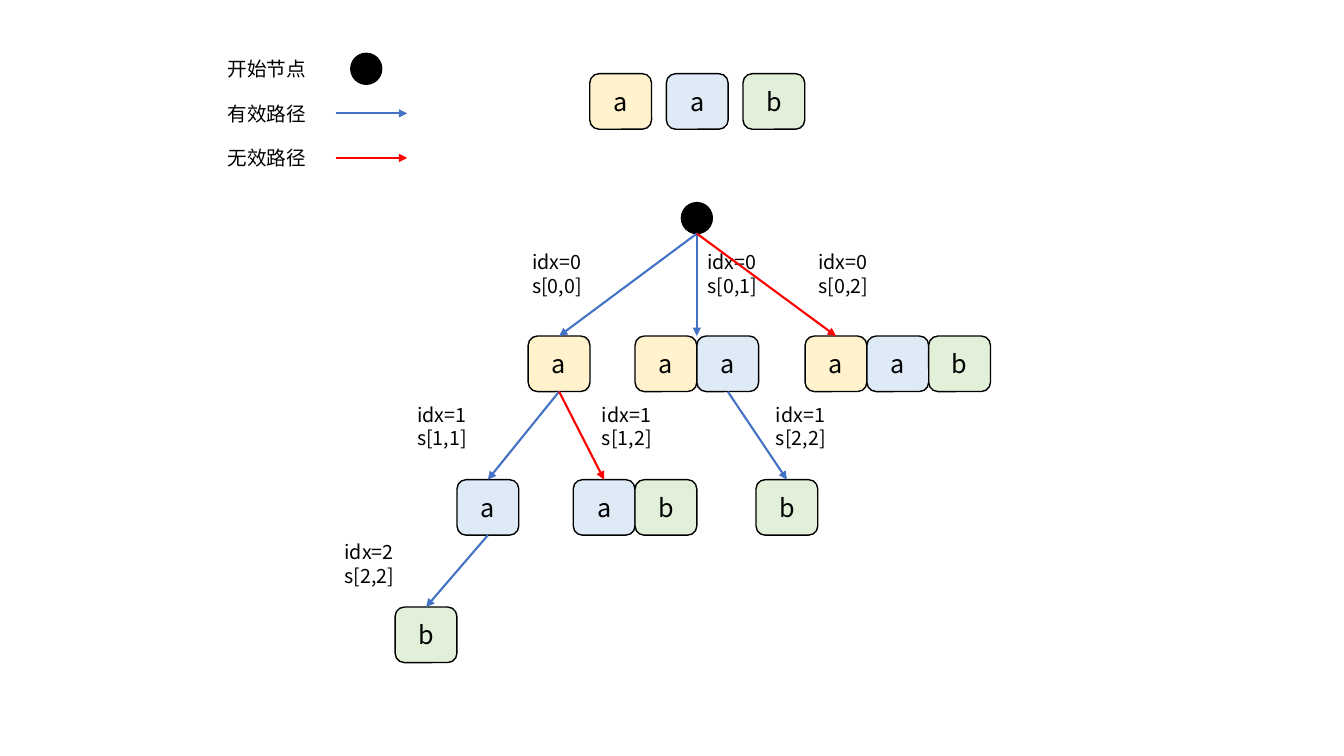
from dataclasses import dataclass

from lxml.etree import SubElement
from pptx import Presentation
from pptx.dml.color import RGBColor
from pptx.enum.shapes import MSO_CONNECTOR, MSO_SHAPE
from pptx.enum.text import MSO_ANCHOR, PP_ALIGN
from pptx.oxml.ns import qn
from pptx.util import Inches, Pt


@dataclass(frozen=True)
class Theme:
    font: str = "Noto Sans CJK SC"
    ink: str = "000000"
    valid: str = "4472C4"
    invalid: str = "FF0000"
    letters: tuple = (("a", "FFF2CC"), ("a", "DEEBF7"), ("b", "E2F0D9"))
    letter_size: int = 18
    label_size: int = 14
    label_spacing: int = 17
    outline: float = 1
    arrow: float = 1.5


THEME = Theme()
SLIDE_WIDTH, SLIDE_HEIGHT = 13.33, 7.5
TILE_WIDTH, TILE_HEIGHT = 4.6, 7.35
NODE_WIDTH, NODE_HEIGHT = 2.3, 4.1
LEVEL_TOPS = (44.45, 63.45, 80.3)
LABEL_TOPS = (32.4, 52.55, 70.7)
LABEL_HEIGHT = 7.6
ROOT = (51.85, 28.85)

# name: (parent, level, first letter, last letter, left, valid)
BRANCHES = {
    "s[0,0]": (None, 0, 0, 0, 39.3, True),
    "s[0,1]": (None, 0, 0, 1, ROOT[0] - TILE_WIDTH, True),
    "s[0,2]": (None, 0, 0, 2, 59.9, False),
    "s[1,1]": ("s[0,0]", 1, 1, 1, 34, True),
    "s[1,2]": ("s[0,0]", 1, 1, 2, 42.65, False),
    "s[2,2]": ("s[0,1]", 1, 2, 2, 56.25, True),
    "leaf": ("s[1,1]", 2, 2, 2, 29.4, True),
}

LABELS = (
    (0, "s[0,0]", 38.85, 7.65),
    (0, "s[0,1]", 51.9, 7.65),
    (0, "s[0,2]", 60.15, 8.9),
    (1, "s[1,1]", 30.3, 8.3),
    (1, "s[1,2]", 44.05, 6.75),
    (1, "s[2,2]", 57, 7.4),
    (2, "s[2,2]", 24.9, 8.45),
)


def across(share):
    return Inches(SLIDE_WIDTH * share / 100)


def down(share):
    return Inches(SLIDE_HEIGHT * share / 100)


def area(left, top, width, height):
    return across(left), down(top), across(width), down(height)


def write(frame, text, size, align=PP_ALIGN.LEFT, anchor=MSO_ANCHOR.TOP, spacing=None):
    frame.word_wrap = True
    frame.vertical_anchor = anchor
    for number, line in enumerate(text.split("\n")):
        paragraph = frame.add_paragraph() if number else frame.paragraphs[0]
        paragraph.alignment = align
        if spacing:
            paragraph.line_spacing = Pt(spacing)
        run = paragraph.add_run()
        run.text = line
        run.font.name = THEME.font
        run.font.size = Pt(size)
        run.font.color.rgb = RGBColor.from_string(THEME.ink)
        SubElement(run.font._element, qn("a:ea"), typeface=THEME.font)


def add_outlined(slide, preset, bounds, fill):
    shape = slide.shapes.add_shape(preset, *bounds)
    shape.shadow.inherit = False
    shape.fill.solid()
    shape.fill.fore_color.rgb = RGBColor.from_string(fill)
    shape.line.color.rgb = RGBColor.from_string(THEME.ink)
    shape.line.width = Pt(THEME.outline)
    return shape


def add_tile(slide, letter, left, top):
    text, fill = THEME.letters[letter]
    tile = add_outlined(slide, MSO_SHAPE.ROUNDED_RECTANGLE,
                        area(left, top, TILE_WIDTH, TILE_HEIGHT), fill)
    write(tile.text_frame, text, THEME.letter_size,
          align=PP_ALIGN.CENTER, anchor=MSO_ANCHOR.MIDDLE)


def add_tiles(slide, letters, left, top, step=TILE_WIDTH):
    for column, letter in enumerate(letters):
        add_tile(slide, letter, left + column * step, top)


def add_start_node(slide, center, middle):
    bounds = area(center - NODE_WIDTH / 2, middle - NODE_HEIGHT / 2,
                  NODE_WIDTH, NODE_HEIGHT)
    add_outlined(slide, MSO_SHAPE.FLOWCHART_CONNECTOR, bounds, THEME.ink)


def add_label(slide, text, left, top, width, height):
    label = slide.shapes.add_textbox(*area(left, top, width, height))
    write(label.text_frame, text, THEME.label_size, spacing=THEME.label_spacing)


def add_arrow(slide, start, end, valid):
    arrow = slide.shapes.add_connector(
        MSO_CONNECTOR.STRAIGHT,
        across(start[0]), down(start[1]), across(end[0]), down(end[1]))
    color = THEME.valid if valid else THEME.invalid
    arrow.line.color.rgb = RGBColor.from_string(color)
    arrow.line.width = Pt(THEME.arrow)
    SubElement(arrow.line._get_or_add_ln(), qn("a:tailEnd"), type="triangle")
    SubElement(arrow._element.spPr, qn("a:effectLst"))


def branch_start(parent):
    if parent is None:
        return ROOT[0], ROOT[1] + NODE_HEIGHT / 2
    _, level, first, last, left, _ = BRANCHES[parent]
    return left + (last - first + 0.5) * TILE_WIDTH, LEVEL_TOPS[level] + TILE_HEIGHT


def add_tree(slide):
    add_start_node(slide, *ROOT)
    for _, level, first, last, left, _ in BRANCHES.values():
        add_tiles(slide, range(first, last + 1), left, LEVEL_TOPS[level])
    for level, cut, left, width in LABELS:
        add_label(slide, f"idx={level}\n{cut}", left, LABEL_TOPS[level],
                  width, LABEL_HEIGHT)
    for name, (parent, level, _, _, left, valid) in BRANCHES.items():
        target = ROOT[0] if name == "s[0,1]" else left + TILE_WIDTH / 2
        add_arrow(slide, branch_start(parent), (target, LEVEL_TOPS[level]), valid)


def add_legend(slide):
    for row, meaning in enumerate(("开始节点", "有效路径", "无效路径")):
        middle = 9.1 + row * 5.9
        add_label(slide, meaning, 16.2, middle - 2.25, 7.65, 4.5)
        if row == 0:
            add_start_node(slide, 27.25, middle)
        else:
            add_arrow(slide, (25, middle), (30.3, middle), row == 1)


def main():
    deck = Presentation()
    deck.slide_width, deck.slide_height = Inches(SLIDE_WIDTH), Inches(SLIDE_HEIGHT)
    slide = deck.slides.add_slide(deck.slide_layouts[6])
    add_tiles(slide, range(3), 43.88, 9.75, step=5.7)
    add_tree(slide)
    add_legend(slide)
    deck.save("out.pptx")


main()
